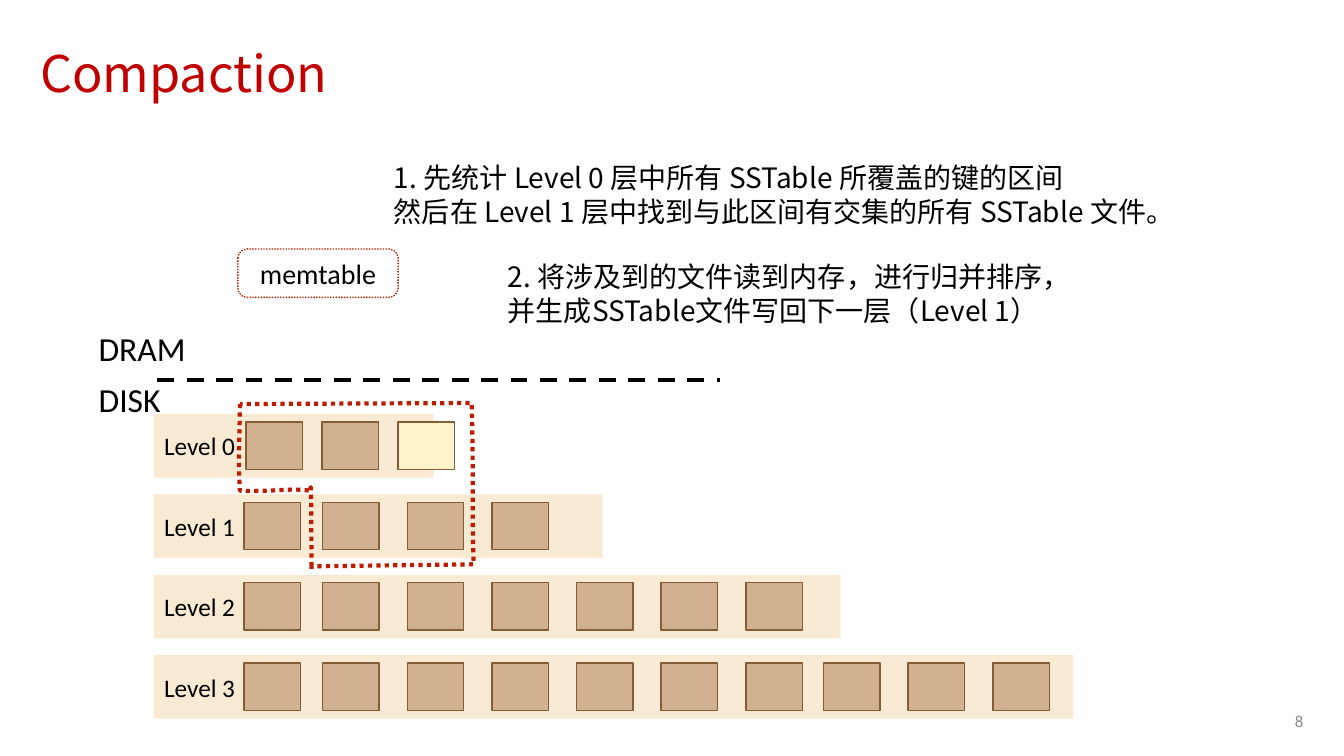
"""Build a slide that explains compaction across the levels of an LSM tree."""
import dataclasses

import pptx
import pptx.dml.color
import pptx.enum.dml
import pptx.enum.shapes
import pptx.enum.text
import pptx.oxml.ns
import pptx.util
from lxml import etree

RGBColor = pptx.dml.color.RGBColor
BLACK = RGBColor(0x00, 0x00, 0x00)
WHITE = RGBColor(0xFF, 0xFF, 0xFF)
TITLE_RED = RGBColor(0xC0, 0x00, 0x00)
OUTLINE_RED = RGBColor(0xBD, 0x1C, 0x00)
BAND = RGBColor(0xF9, 0xEA, 0xD3)
TABLE_FILL = RGBColor(0xD2, 0xB1, 0x91)
NEW_TABLE_FILL = RGBColor(0xFF, 0xF3, 0xCC)
TABLE_LINE = RGBColor(0x84, 0x5C, 0x36)
GRAY = RGBColor(0x8C, 0x8C, 0x8C)

LATIN_FONT = "Calibri"
CHINESE_FONT = "Noto Sans CJK SC"
SHAPES = pptx.enum.shapes.MSO_SHAPE
DASHES = pptx.enum.dml.MSO_LINE
ANCHORS = pptx.enum.text.MSO_ANCHOR
ALIGNMENTS = pptx.enum.text.PP_ALIGN

COLUMNS, ROWS = 160, 90
CELL = pptx.util.Inches(7.5) // ROWS

LEVEL_PITCH, BAND_HEIGHT = 9.57, 7.56
TABLE_WIDTH, TABLE_HEIGHT, TABLE_INSET = 6.72, 5.64, 0.94
LEVEL_ZERO_COLUMNS = [10.92 + 9.06 * i for i in range(3)]
TABLE_COLUMNS = ([10.68] + [20.04 + 10.08 * i for i in range(6)]
                 + [79.68 + 10.08 * i for i in range(3)])
LEVELS = [(33.24, LEVEL_ZERO_COLUMNS), (53.4, TABLE_COLUMNS[:4]),
          (81.72, TABLE_COLUMNS[:7]), (109.44, TABLE_COLUMNS)]
MERGE_START = (10.2, -1.2)
MERGE_CURVES = [
    ((10.2, 1.56), (9.96, 5.52), (10.2, 9.12)),
    ((14.88, 9.24), (15.96, 8.76), (18.6, 9.12)),
    ((18.72, 5.88), (18.72, 21.24), (18.72, 18.12)),
    ((18.72, 18.12), (38.04, 17.88), (38.04, 17.88)),
    ((37.8, 11.4), (38.04, 8.52), (37.8, -1.32)),
]


@dataclasses.dataclass
class Box:
    """A rectangle in grid columns and rows."""
    left: float
    top: float
    width: float
    height: float

    def inner(self, left, top, width, height):
        """Return a box whose position is relative to this one."""
        return Box(self.left + left, self.top + top, width, height)

    def lengths(self):
        """Return the four lengths in slide units."""
        return [round(value * CELL) for value in dataclasses.astuple(self)]


def write_text(shape, *lines, size, font=LATIN_FONT, color=BLACK, wrap=True,
               alignment=ALIGNMENTS.LEFT, anchor=ANCHORS.TOP, spacing=None):
    """Fill a shape with one formatted paragraph for each line."""
    frame = shape.text_frame
    frame.word_wrap = wrap
    frame.vertical_anchor = anchor
    frame.text = "\n".join(lines)
    for paragraph in frame.paragraphs:
        paragraph.alignment = alignment
        paragraph.line_spacing = spacing
        for run in paragraph.runs:
            run.font.size = pptx.util.Pt(size)
            run.font.name = font
            run.font.color.rgb = color
            east_asian = etree.SubElement(run.font._element, pptx.oxml.ns.qn("a:ea"))
            east_asian.set("typeface", font)


def add_label(slide, box, *lines, **text_format):
    """Add a text box."""
    write_text(slide.shapes.add_textbox(*box.lengths()), *lines, **text_format)


def style_line(line, color, width, dash=None):
    """Set the colour, width and dash of a line."""
    line.color.rgb = color
    line.width = pptx.util.Pt(width)
    line.dash_style = dash


def add_block(slide, box, fill, kind=SHAPES.RECTANGLE):
    """Add a filled preset shape without line or shadow."""
    shape = slide.shapes.add_shape(kind, *box.lengths())
    shape.shadow.inherit = False
    shape.fill.solid()
    shape.fill.fore_color.rgb = fill
    shape.line.fill.background()
    return shape


def curve_points(start, first, second, end, steps=16):
    """Return points along a cubic curve, without its start."""
    return [tuple((1 - t) ** 3 * a + 3 * (1 - t) ** 2 * t * b
                  + 3 * (1 - t) * t ** 2 * c + t ** 3 * d
                  for a, b, c, d in zip(start, first, second, end))
            for t in (step / steps for step in range(1, steps + 1))]


def add_merge_outline(slide, box):
    """Outline the tables that take part in the merge."""
    points = [MERGE_START]
    for curve in MERGE_CURVES:
        points += curve_points(points[-1], *curve)
    places = [box.inner(x, y, 0, 0).lengths()[:2] for x, y in points]
    builder = slide.shapes.build_freeform(*places[0])
    builder.add_line_segments(places[1:], close=True)
    outline = builder.convert_to_shape()
    outline.shadow.inherit = False
    outline.fill.background()
    style_line(outline.line, OUTLINE_RED, 3, DASHES.ROUND_DOT)


def add_levels(slide, box):
    """Add the level bands, their tables and the merge outline."""
    for number, (width, columns) in enumerate(LEVELS):
        row = box.inner(0, number * LEVEL_PITCH, width, BAND_HEIGHT)
        write_text(add_block(slide, row, BAND), f"Level {number}",
                   size=18, anchor=ANCHORS.MIDDLE)
        for column in columns:
            is_new = number == 0 and column == columns[-1]
            place = row.inner(column, TABLE_INSET, TABLE_WIDTH, TABLE_HEIGHT)
            table = add_block(slide, place, NEW_TABLE_FILL if is_new else TABLE_FILL)
            style_line(table.line, TABLE_LINE, 1)
    add_merge_outline(slide, box)


def add_memory(slide, box):
    """Add the memtable and the border between memory and disk."""
    memtable = add_block(slide, box.inner(17.76, 0, 19.08, 5.76), WHITE,
                         SHAPES.ROUNDED_RECTANGLE)
    memtable.adjustments[0] = 0.19
    style_line(memtable.line, OUTLINE_RED, 1, DASHES.ROUND_DOT)
    write_text(memtable, "memtable", size=20, alignment=ALIGNMENTS.CENTER)
    left, top, width, _ = box.inner(8.16, 15.6, 66.96, 0).lengths()
    border = slide.shapes.add_connector(
        pptx.enum.shapes.MSO_CONNECTOR.STRAIGHT, left, top, left + width, top)
    style_line(border.line, BLACK, 3, DASHES.DASH)
    etree.SubElement(border._element.spPr, pptx.oxml.ns.qn("a:effectLst"))
    for text, row, width in (("DRAM", 8.76, 12.84), ("DISK", 14.88, 9.84)):
        add_label(slide, box.inner(0, row, width, 6), text, size=24, wrap=False)


def add_steps(slide, box):
    """Add the two explained steps."""
    text_format = {"size": 20, "font": CHINESE_FONT, "spacing": pptx.util.Pt(24.2)}
    add_label(slide, box.inner(0, 0, 94.92, 13.32),
              "1. 先统计 Level 0 层中所有 SSTable 所覆盖的键的区间",
              "然后在 Level 1 层中找到与此区间有交集的所有 SSTable 文件。", **text_format)
    add_label(slide, box.inner(13.56, 11.76, 68.64, 9.24),
              "2. 将涉及到的文件读到内存，进行归并排序，并生成SSTable文件写回下一层（Level 1）",
              **text_format)


def add_compaction_slide(presentation, box):
    """Add the whole compaction slide."""
    slide = presentation.slides.add_slide(presentation.slide_layouts[6])
    add_label(slide, box.inner(3.6, 4.8, 152.76, 8.52), "Compaction", size=36,
              font=CHINESE_FONT, color=TITLE_RED, anchor=ANCHORS.MIDDLE, spacing=0.9)
    add_levels(slide, box.inner(18.36, 49.3, 109.44, 36.3))
    add_memory(slide, box.inner(10.56, 29.64, 75.12, 20.88))
    add_steps(slide, box.inner(45.72, 18.48, 94.92, 21))
    add_label(slide, box.inner(113.04, 83.4, 43.32, 4.8), "8", size=12, color=GRAY,
              alignment=ALIGNMENTS.RIGHT, anchor=ANCHORS.MIDDLE)


presentation = pptx.Presentation()
presentation.slide_width = COLUMNS * CELL
presentation.slide_height = ROWS * CELL
add_compaction_slide(presentation, Box(0, 0, COLUMNS, ROWS))
presentation.save("out.pptx")
